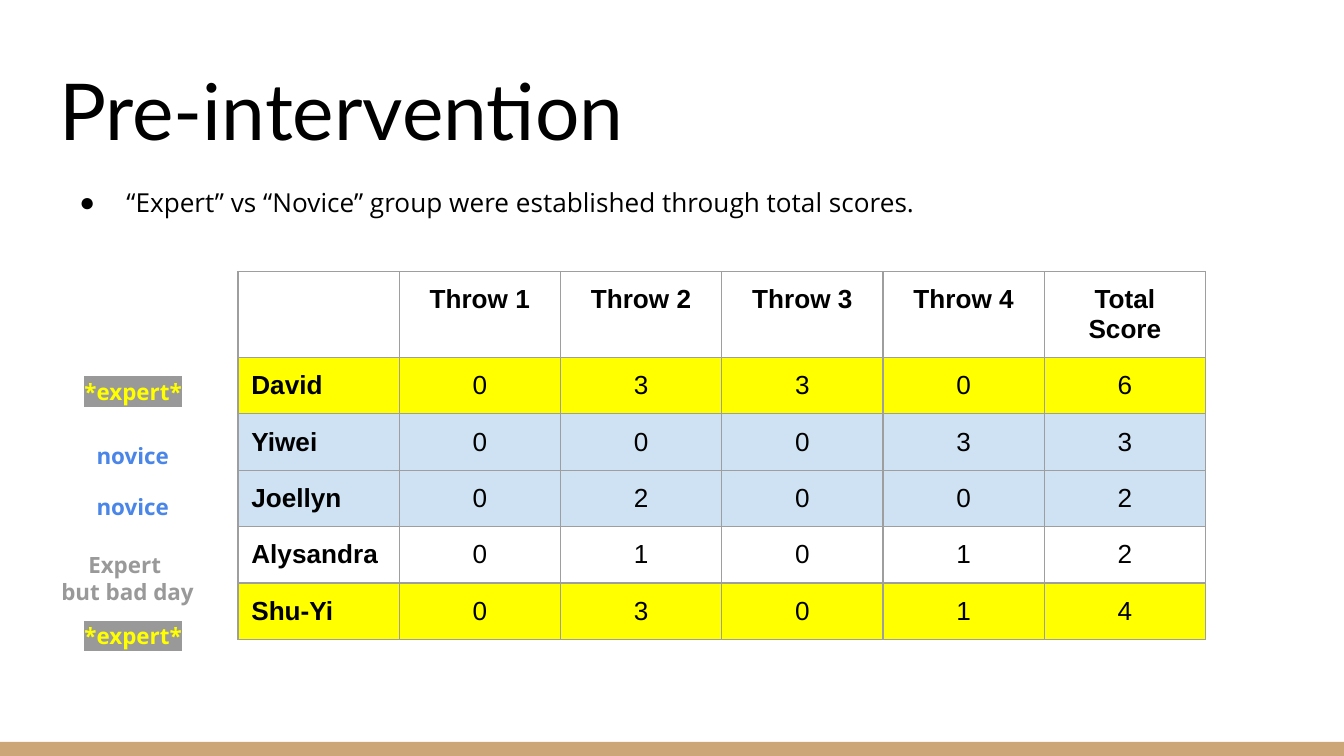
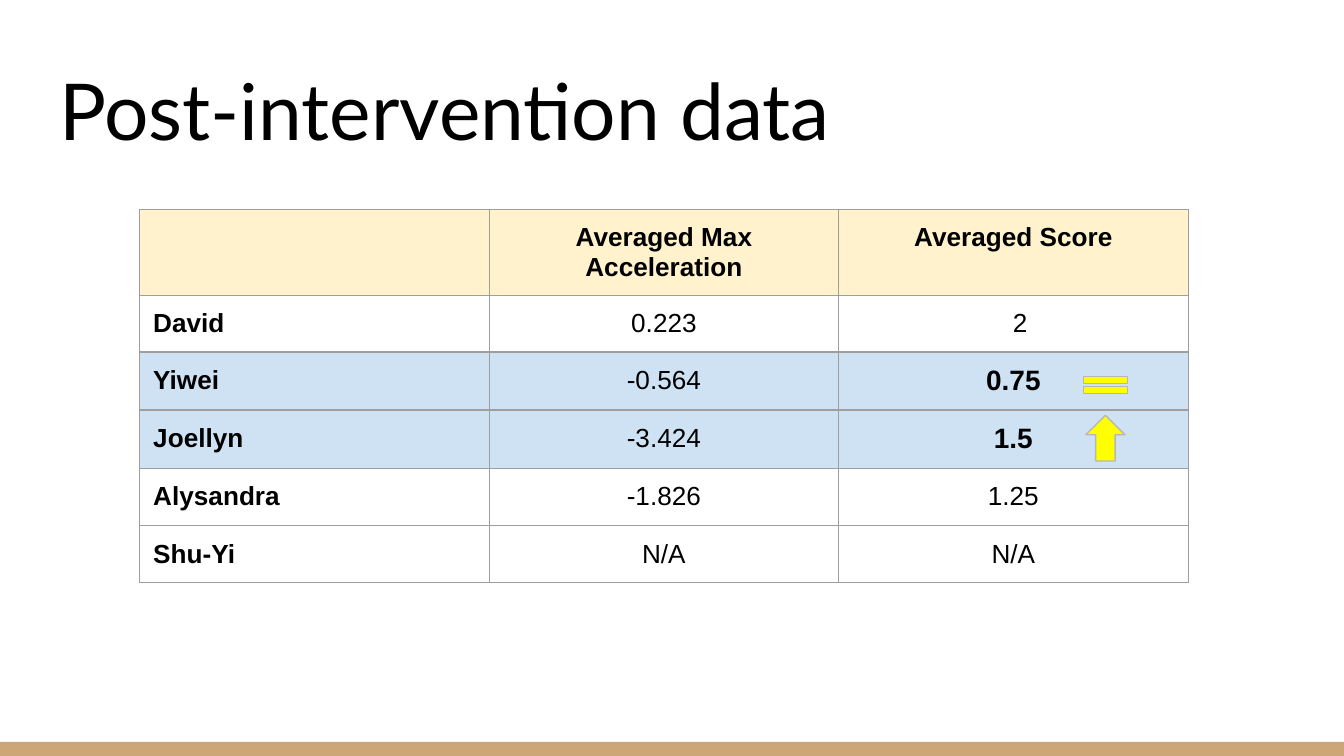
from dataclasses import dataclass, field

import lxml.etree
import pptx
import pptx.dml.color
import pptx.enum.shapes
import pptx.enum.text
import pptx.oxml
import pptx.oxml.ns
import pptx.util
from pptx.util import Inches

TITLE_FONT, BODY_FONT, TABLE_FONT = "Lato", "Open Sans", "Arial"
BLACK, GREY, BLUE = "000000", "999999", "4A86E8"
YELLOW, PALE_BLUE, CREAM, TAN = "FFFF00", "CFE2F3", "FFF2CC", "CCA677"
TABLE_BORDER, SYMBOL_OUTLINE = "9E9E9E", "B7B7B7"
LEFT = pptx.enum.text.PP_ALIGN.LEFT
CENTER = pptx.enum.text.PP_ALIGN.CENTER
SHAPE_TYPES = pptx.enum.shapes.MSO_SHAPE
TITLE_AND_CONTENT, TITLE_ONLY = 1, 5


@dataclass
class TableRow:
    texts: list[str]
    height: float = 0.42
    fill: str | None = None


@dataclass
class ScoreTable:
    left: float
    top: float
    column_width: float
    rows: list[TableRow]
    emphasized: set[str] = field(default_factory=set)


@dataclass
class GroupLabel:
    lines: str
    left: float
    top: float
    width: float
    color: str
    highlight: str | None = None
    alignment: pptx.enum.text.PP_ALIGN = LEFT


@dataclass
class TrendSymbol:
    kind: pptx.enum.shapes.MSO_SHAPE
    left: float
    top: float
    width: float
    height: float
    adjustments: tuple[float, float]


PRE_SCORES = ScoreTable(1.77, 2.02, 1.2, [
    TableRow(["", "Throw 1", "Throw 2", "Throw 3", "Throw 4", "Total Score"], 0.64),
    TableRow(["David", "0", "3", "3", "0", "6"], fill=YELLOW),
    TableRow(["Yiwei", "0", "0", "0", "3", "3"], fill=PALE_BLUE),
    TableRow(["Joellyn", "0", "2", "0", "0", "2"], fill=PALE_BLUE),
    TableRow(["Alysandra", "0", "1", "0", "1", "2"]),
    TableRow(["Shu-Yi", "0", "3", "0", "1", "4"], fill=YELLOW),
])

POST_SCORES = ScoreTable(1.04, 1.56, 2.6, [
    TableRow(["", "Averaged Max Acceleration", "Averaged Score"], 0.64, CREAM),
    TableRow(["David", "0.223", "2"]),
    TableRow(["Yiwei", "-0.564", "0.75"], 0.43, PALE_BLUE),
    TableRow(["Joellyn", "-3.424", "1.5"], 0.43, PALE_BLUE),
    TableRow(["Alysandra", "-1.826", "1.25"], 0.43),
    TableRow(["Shu-Yi", "N/A", "N/A"]),
], emphasized={"0.75", "1.5"})

GROUP_LABELS = [
    GroupLabel("*expert*", 0.53, 2.71, 1.13, YELLOW, GREY),
    GroupLabel("*expert*", 0.53, 4.53, 1.13, YELLOW, GREY),
    GroupLabel("novice", 0.62, 3.57, 0.96, BLUE),
    GroupLabel("novice", 0.62, 3.19, 0.96, BLUE),
    GroupLabel("Expert \nbut bad day", 0.13, 4, 1.64, GREY, alignment=CENTER),
]

TREND_SYMBOLS = [
    TrendSymbol(SHAPE_TYPES.UP_ARROW, 8.08, 3.09, 0.29, 0.34, (0.5, 0.5)),
    TrendSymbol(SHAPE_TYPES.MATH_EQUAL, 8, 2.76, 0.45, 0.21, (0.235, 0.118)),
]


def rgb(color: str) -> pptx.dml.color.RGBColor:
    return pptx.dml.color.RGBColor.from_string(color)


def color_xml(tag: str, color: str) -> lxml.etree._Element:
    """Return a DrawingML element that wraps one colour."""
    return pptx.oxml.parse_xml(
        f'<a:{tag} {pptx.oxml.ns.nsdecls("a")}><a:srgbClr val="{color}"/></a:{tag}>')


def format_text(text_frame, font: str, size: float, color: str = BLACK,
                bold: bool = False, alignment=LEFT) -> None:
    for paragraph in text_frame.paragraphs:
        paragraph.alignment = alignment
        for run in paragraph.runs:
            run.font.name = font
            run.font.size = pptx.util.Pt(size)
            run.font.bold = bold
            run.font.color.rgb = rgb(color)


def set_frame(text_frame) -> None:
    """Wrap the text, keep its size and give it even insets."""
    text_frame.word_wrap = True
    text_frame.auto_size = pptx.enum.text.MSO_AUTO_SIZE.NONE
    set_margins(text_frame)


def set_margins(target) -> None:
    for side in ("left", "top", "right", "bottom"):
        setattr(target, f"margin_{side}", Inches(0.1))


def place(shape, left: float, top: float, width: float, height: float) -> None:
    shape.left, shape.top = Inches(left), Inches(top)
    shape.width, shape.height = Inches(width), Inches(height)


def add_titled_slide(presentation, layout: int, title: str):
    slide = presentation.slides.add_slide(presentation.slide_layouts[layout])
    band = slide.shapes.add_shape(SHAPE_TYPES.RECTANGLE, Inches(0), Inches(5.52),
                                  Inches(10), Inches(0.11))
    band.shadow.inherit = False
    band.fill.solid()
    band.fill.fore_color.rgb = rgb(TAN)
    band.line.fill.background()
    title_shape = slide.shapes.title
    place(title_shape, 0.34, 0.35, 9.32, 0.91)
    text_frame = title_shape.text_frame
    text_frame.text = title
    set_frame(text_frame)
    text_frame.vertical_anchor = pptx.enum.text.MSO_ANCHOR.BOTTOM
    format_text(text_frame, TITLE_FONT, 42)
    return slide


def fill_body(slide, text: str) -> None:
    body = slide.placeholders[1]
    place(body, 0.34, 1.17, 9.32, 3.67)
    text_frame = body.text_frame
    text_frame.text = text
    set_frame(text_frame)
    format_text(text_frame, BODY_FONT, 14)
    paragraph = text_frame.paragraphs[0]
    paragraph.line_spacing = 1.5
    paragraph.space_before = pptx.util.Pt(0)
    properties = paragraph._p.get_or_add_pPr()
    properties.set("marL", str(Inches(0.5)))
    properties.set("indent", str(Inches(-0.35)))
    properties.append(color_xml("buClr", BLACK))
    bullet = lxml.etree.SubElement(properties, pptx.oxml.ns.qn("a:buChar"))
    bullet.set("char", "●")


def set_borders(cell) -> None:
    properties = cell._tc.get_or_add_tcPr()
    for index, tag in enumerate(("lnL", "lnR", "lnT", "lnB")):
        border = pptx.oxml.parse_xml(
            f'<a:{tag} {pptx.oxml.ns.nsdecls("a")} w="{pptx.util.Pt(0.75)}"/>')
        border.append(color_xml("solidFill", TABLE_BORDER))
        properties.insert(index, border)


def add_score_table(slide, scores: ScoreTable):
    column_count = len(scores.rows[0].texts)
    table = slide.shapes.add_table(
        len(scores.rows), column_count, Inches(scores.left), Inches(scores.top),
        Inches(scores.column_width * column_count),
        Inches(sum(row.height for row in scores.rows))).table
    table.first_row = table.horz_banding = False
    for column in table.columns:
        column.width = Inches(scores.column_width)
    for row_index, row in enumerate(scores.rows):
        table.rows[row_index].height = Inches(row.height)
        for column_index, text in enumerate(row.texts):
            cell = table.cell(row_index, column_index)
            cell.text_frame.text = text
            set_margins(cell)
            emphasized = text in scores.emphasized
            format_text(cell.text_frame, TABLE_FONT, 15 if emphasized else 14,
                        bold=emphasized or row_index == 0 or column_index == 0,
                        alignment=CENTER if column_index else LEFT)
            if row.fill:
                cell.fill.solid()
                cell.fill.fore_color.rgb = rgb(row.fill)
            else:
                cell.fill.background()
            set_borders(cell)
    return table


def add_group_label(slide, label: GroupLabel) -> None:
    box = slide.shapes.add_textbox(Inches(label.left), Inches(label.top),
                                   Inches(label.width), Inches(0.48))
    text_frame = box.text_frame
    text_frame.text = label.lines
    set_frame(text_frame)
    format_text(text_frame, BODY_FONT, 12, label.color, True, label.alignment)
    if label.highlight:
        run = text_frame.paragraphs[0].runs[0]
        fill = run._r.get_or_add_rPr().find(pptx.oxml.ns.qn("a:solidFill"))
        fill.addnext(color_xml("highlight", label.highlight))


def add_trend_symbol(slide, symbol: TrendSymbol) -> None:
    shape = slide.shapes.add_shape(symbol.kind, Inches(symbol.left), Inches(symbol.top),
                                   Inches(symbol.width), Inches(symbol.height))
    for index, value in enumerate(symbol.adjustments):
        shape.adjustments[index] = value
    shape.shadow.inherit = False
    shape.fill.solid()
    shape.fill.fore_color.rgb = rgb(YELLOW)
    shape.line.color.rgb = rgb(SYMBOL_OUTLINE)
    shape.line.width = pptx.util.Pt(0.75)


def build_pre_intervention(presentation) -> None:
    slide = add_titled_slide(presentation, TITLE_AND_CONTENT, "Pre-intervention")
    fill_body(slide, "“Expert” vs “Novice” group were established through total scores.")
    add_score_table(slide, PRE_SCORES)
    for label in GROUP_LABELS:
        add_group_label(slide, label)


def build_post_intervention(presentation) -> None:
    slide = add_titled_slide(presentation, TITLE_ONLY, "Post-intervention data")
    table = add_score_table(slide, POST_SCORES)
    table.cell(1, 2).margin_left = Inches(0.2)
    for symbol in TREND_SYMBOLS:
        add_trend_symbol(slide, symbol)


def main() -> None:
    presentation = pptx.Presentation()
    presentation.slide_width = Inches(10)
    presentation.slide_height = presentation.slide_width * 9 // 16
    build_pre_intervention(presentation)
    build_post_intervention(presentation)
    presentation.save("out.pptx")


if __name__ == "__main__":
    main()
